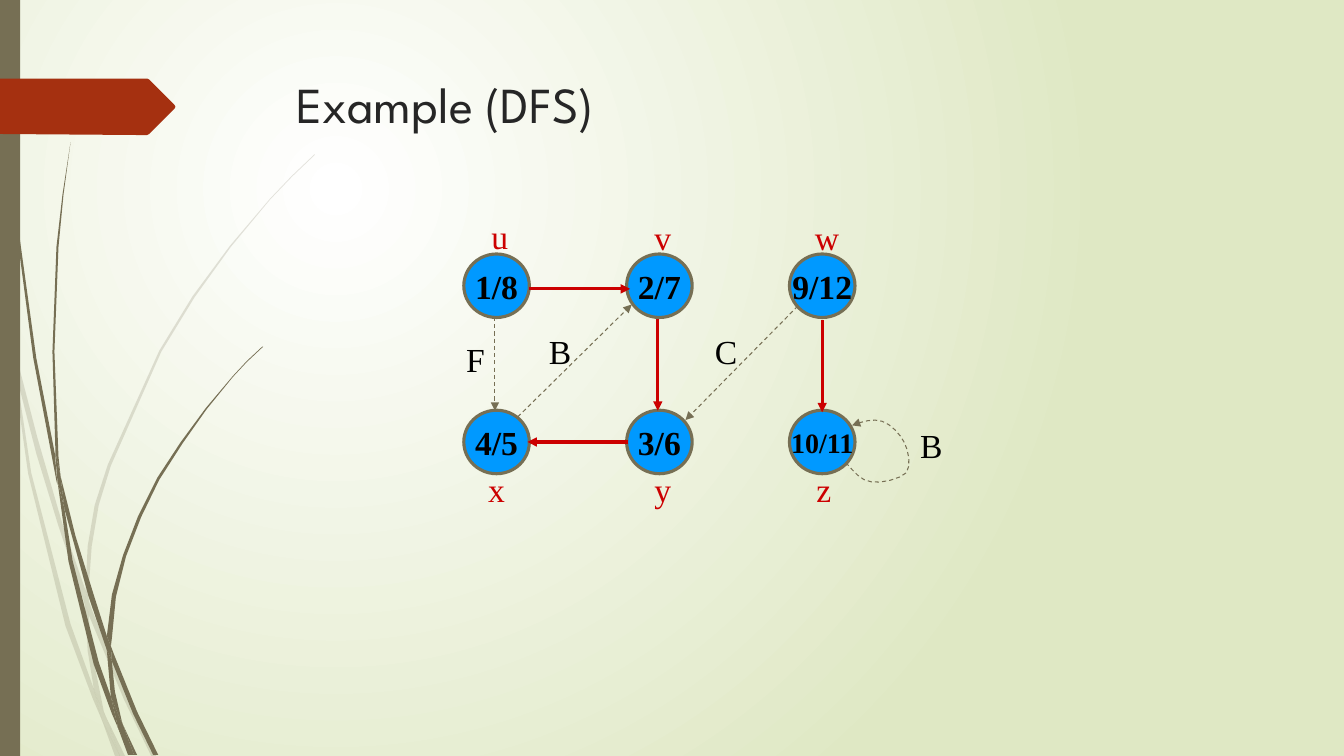
import lxml.etree
import pptx
import pptx.dml.color
import pptx.enum.dml
import pptx.enum.shapes
import pptx.enum.text
import pptx.oxml.ns
import pptx.util

RGB = pptx.dml.color.RGBColor
SHAPE = pptx.enum.shapes.MSO_SHAPE
CENTER = pptx.enum.text.PP_ALIGN.CENTER
MIDDLE = pptx.enum.text.MSO_ANCHOR.MIDDLE
TOP = pptx.enum.text.MSO_ANCHOR.TOP
qn = pptx.oxml.ns.qn

OLIVE = RGB(0x76, 0x6F, 0x54)
RUST = RGB(0xA5, 0x30, 0x10)
BLUE = RGB(0x00, 0x99, 0xFF)
RED = RGB(0xCC, 0x00, 0x00)
BLACK = RGB(0x00, 0x00, 0x00)
CHARCOAL = RGB(0x26, 0x26, 0x26)
WHITE = RGB(0xFF, 0xFF, 0xFF)
PALE_GREEN = RGB(0xDF, 0xE8, 0xC4)

deck = pptx.Presentation()
deck.slide_width = pptx.util.Inches(13.33)
deck.slide_height = pptx.util.Inches(7.5)
WIDTH, HEIGHT = deck.slide_width, deck.slide_height
UNIT = HEIGHT / 750
slide = deck.slides.add_slide(deck.slide_layouts[6])
shapes = slide.shapes

backdrop = slide.background.fill
backdrop.gradient()
for stop, color in zip(backdrop.gradient_stops, (WHITE, PALE_GREEN)):
    stop.color.rgb = color
gradient = next(slide.element.iter(qn("a:gradFill")))
gradient.remove(gradient.find(qn("a:lin")))
glow = lxml.etree.SubElement(gradient, qn("a:path"), path="circle")
lxml.etree.SubElement(glow, qn("a:fillToRect"), l="50000", t="50000", r="100000", b="100000")


def outline(points, close):
    scaled = [(x * UNIT, y * UNIT) for x, y in points]
    builder = shapes.build_freeform(*scaled[0], scale=1.0)
    builder.add_line_segments(scaled[1:], close=close)
    shape = builder.convert_to_shape()
    shape.shadow.inherit = False
    return shape


def write(frame, text, color, size, align=CENTER, anchor=MIDDLE, inset=0, **font_values):
    frame_values = {"word_wrap": False, "vertical_anchor": anchor}
    frame_values.update({f"margin_{side}": inset for side in ("left", "right", "top", "bottom")})
    for key, value in frame_values.items():
        setattr(frame, key, value)
    paragraph = frame.paragraphs[0]
    paragraph.alignment = align
    run = paragraph.add_run()
    run.text = text
    for key, value in {"name": "Times New Roman", "size": pptx.util.Pt(size), **font_values}.items():
        setattr(run.font, key, value)
    run.font.color.rgb = color


faint_grass = [
    [(11, 350), (9, 322), (0, 282), (0, 299), (10, 344)],
    [(58, 522), (84, 599), (85, 586), (62, 520), (37, 434), (14, 345), (17, 376), (36, 450)],
    [(92, 607), (88, 596), (88, 610), (123, 694), (150, 750), (155, 750), (127, 692)],
    [(119, 750), (124, 750), (105, 711)],
    [(93, 683), (70, 619), (31, 469), (17, 376), (11, 350), (28, 470), (65, 621), (92, 693),
     (101, 714), (99, 707)],
    [(84, 599), (87, 646), (93, 683), (96, 692), (105, 711), (103, 706), (91, 646), (88, 610),
     (88, 608)],
    [(88, 584), (91, 542), (98, 501), (110, 462), (160, 349), (193, 295), (229, 245), (268, 198),
     (290, 175), (312, 154), (312, 153), (289, 175), (268, 197), (228, 244), (191, 294), (158, 348),
     (107, 461), (94, 501), (87, 542), (85, 584), (85, 586), (88, 596)],
    [(101, 714), (114, 750), (119, 750)],
    [(88, 608), (88, 610), (88, 596), (85, 586), (84, 599)],
    [(96, 692), (93, 683), (99, 707), (101, 714), (119, 750), (105, 711)],
]
dark_grass = [
    [(7, 110), (17, 233), (33, 355), (56, 477), (57, 481), (55, 457), (55, 453), (36, 355),
     (19, 232), (8, 109), (5, 48), (4, 0), (3, 0), (4, 48)],
    [(88, 592), (106, 645), (106, 633), (106, 631), (93, 590), (75, 532), (60, 472), (64, 505)],
    [(113, 649), (110, 641), (111, 656), (132, 708), (152, 749), (157, 749), (136, 706)],
    [(110, 691), (98, 657), (72, 556), (64, 505), (57, 477), (68, 557), (93, 659), (111, 708),
     (117, 722), (116, 717)],
    [(60, 472), (58, 453), (54, 349), (58, 245), (63, 193), (70, 141), (62, 193), (56, 245),
     (52, 349), (55, 449)],
    [(133, 749), (136, 749), (122, 719)],
    [(57, 477), (64, 505), (60, 472), (55, 449), (55, 453)],
    [(111, 633), (115, 592), (125, 552), (140, 513), (158, 476), (181, 440), (205, 406), (231, 374),
     (245, 359), (261, 344), (260, 344), (245, 358), (231, 373), (204, 405), (179, 439), (156, 474),
     (137, 512), (122, 551), (111, 590), (106, 631), (110, 641)],
    [(117, 722), (127, 749), (131, 749)],
    [(106, 645), (110, 691), (116, 706), (122, 719), (121, 716), (114, 686), (111, 656), (109, 651)],
    [(106, 645), (109, 651), (111, 656), (110, 641), (106, 631)],
    [(116, 706), (110, 691), (116, 717), (117, 722), (130, 749), (133, 749), (122, 719)],
]
for blades, opacity in ((faint_grass, 20000), (dark_grass, 100000)):
    for blade_points in blades:
        blade = outline(blade_points, True)
        blade.fill.solid()
        blade.fill.fore_color.rgb = OLIVE
        blade.line.fill.background()
        tint = blade.element.spPr.find(qn("a:solidFill"))[0]
        lxml.etree.SubElement(tint, qn("a:alpha"), val=str(opacity))

side_band = shapes.add_shape(SHAPE.RECTANGLE, 0, 0, int(WIDTH * 0.015), HEIGHT)
side_band.shadow.inherit = False
ribbon = outline([(0, 78), (146, 78), (148, 79), (173, 104), (174, 106), (173, 108), (148, 133),
                  (146, 134), (136, 134), (0, 133)], True)
for ornament, color in ((side_band, OLIVE), (ribbon, RUST)):
    ornament.fill.solid()
    ornament.fill.fore_color.rgb = color
    ornament.line.fill.background()

heading = shapes.add_textbox(*(int(n * UNIT) for n in (289, 68, 970, 140)))
write(heading.text_frame, "Example (DFS)", CHARCOAL, 36, pptx.enum.text.PP_ALIGN.LEFT, TOP,
      pptx.util.Inches(0.05), name="League Spartan")

GRID_X, GRID_Y = 492.5, 283.5
COLUMN, ROW = 161.5, 155
NODE_W, NODE_H = 65, 63
visit_times = [["1/8", "2/7", "9/12"], ["4/5", "3/6", "10/11"]]
for row, times in enumerate(visit_times):
    for column, time in enumerate(times):
        left = GRID_X + column * COLUMN - NODE_W / 2
        top = GRID_Y + row * ROW - NODE_H / 2
        node = shapes.add_shape(SHAPE.OVAL, *(int(n * UNIT) for n in (left, top, NODE_W, NODE_H)))
        node.shadow.inherit = False
        node.fill.solid()
        node.fill.fore_color.rgb = BLUE
        node.line.color.rgb = OLIVE
        node.line.width = pptx.util.Pt(2.25)
        write(node.text_frame, time, BLACK, 20 if len(time) > 4 else 24, bold=True)

tree_edges = [(0.2, 0.02, 0.82, 0.02), (0.81, 1, 0.19, 1), (0.99, 0.21, 0.99, 0.8), (2, 0.22, 2, 0.81)]
other_edges = [(-0.01, 0.2, -0.01, 0.8), (0.13, 0.84, 0.83, 0.12), (1.85, 0.13, 1.16, 0.86)]
arrows = []
for edges, is_tree in ((tree_edges, True), (other_edges, False)):
    for x1, y1, x2, y2 in edges:
        ends = (GRID_X + x1 * COLUMN, GRID_Y + y1 * ROW, GRID_X + x2 * COLUMN, GRID_Y + y2 * ROW)
        edge = shapes.add_connector(pptx.enum.shapes.MSO_CONNECTOR.STRAIGHT, *(int(n * UNIT) for n in ends))
        lxml.etree.SubElement(edge.element.spPr, qn("a:effectLst"))
        arrows.append((edge, is_tree))

loop_curves = [
    [(839, 459), (847, 468), (854, 477), (864, 478)],
    [(864, 478), (874, 480), (893, 475), (899, 469)],
    [(899, 469), (904, 462), (901, 447), (897, 439)],
    [(897, 439), (893, 431), (884, 421), (875, 418)],
    [(875, 418), (866, 415), (856, 418), (845, 422)],
]
loop_points = [loop_curves[0][0]]
for curve in loop_curves:
    for t in (0.25, 0.5, 0.75, 1):
        weights = ((1 - t) ** 3, 3 * t * (1 - t) ** 2, 3 * t * t * (1 - t), t ** 3)
        loop_points.append([sum(w * p[axis] for w, p in zip(weights, curve)) for axis in (0, 1)])
self_loop = outline(loop_points, False)
self_loop.fill.background()
arrows.append((self_loop, False))

for arrow, is_tree in arrows:
    arrow.line.color.rgb = RED if is_tree else OLIVE
    arrow.line.width = pptx.util.Pt(2.25 if is_tree else 0.75)
    if not is_tree:
        arrow.line.dash_style = pptx.enum.dml.MSO_LINE.DASH
    lxml.etree.SubElement(arrow.element.spPr.find(qn("a:ln")), qn("a:tailEnd"), type="triangle")

vertex_names = [("u", 0.02, -0.32), ("v", 1.02, -0.31), ("w", 2.03, -0.31),
                ("x", 0, 1.3), ("y", 1.02, 1.3), ("z", 2.01, 1.3)]
edge_kinds = [("B", 0.39, 0.42), ("F", -0.13, 0.47), ("C", 1.41, 0.42), ("B", 2.67, 1.02)]
LABEL_W, LABEL_H = 42, 50
for labels, color in ((vertex_names, RED), (edge_kinds, BLACK)):
    for letter, column, row in labels:
        left = GRID_X + column * COLUMN - LABEL_W / 2
        top = GRID_Y + row * ROW - LABEL_H / 2
        label = shapes.add_textbox(*(int(n * UNIT) for n in (left, top, LABEL_W, LABEL_H)))
        write(label.text_frame, letter, color, 24)

deck.save("out.pptx")
